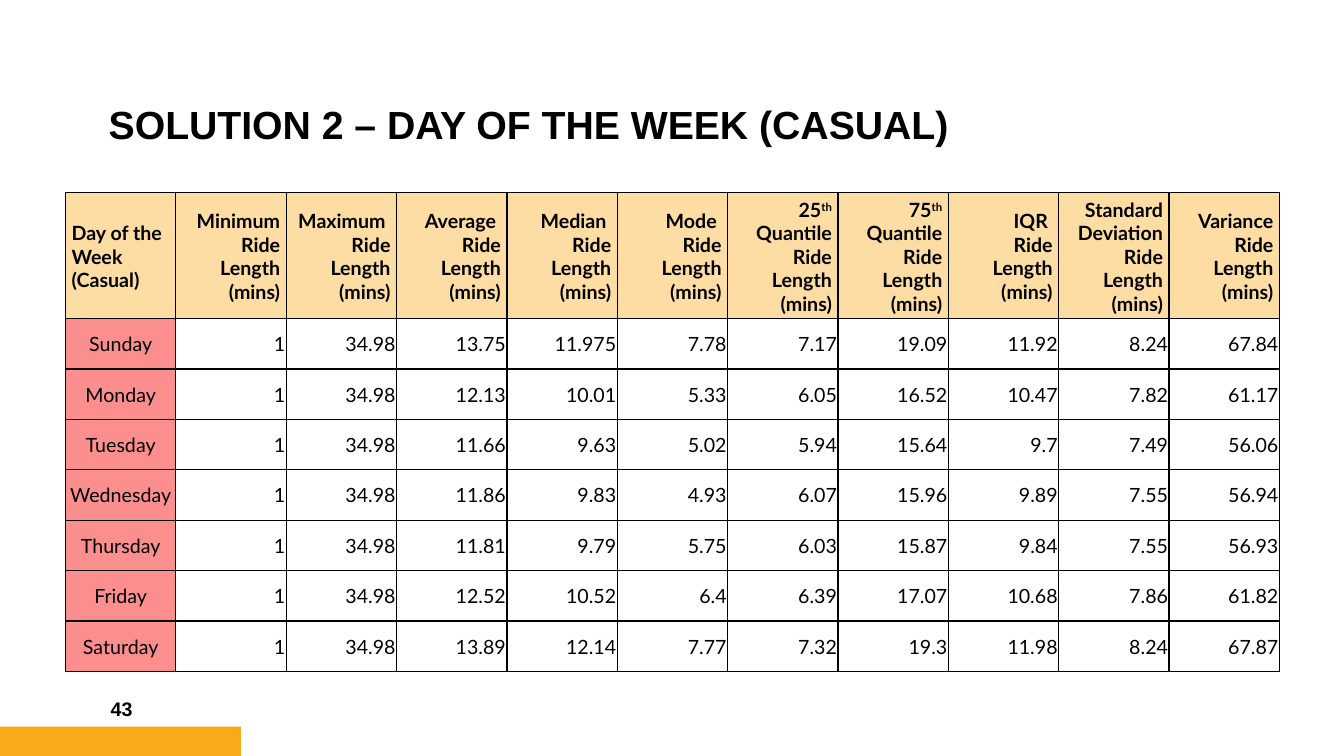
from lxml.etree import SubElement
from pptx import Presentation
from pptx.dml.color import RGBColor
from pptx.enum.shapes import MSO_SHAPE as Shape
from pptx.enum.text import MSO_ANCHOR as Anchor, PP_ALIGN as Align
from pptx.oxml.ns import qn
from pptx.util import Inches, Pt

HEADINGS = [
    "Day of the Week (Casual)",
    "Minimum Ride Length\n(mins)",
    "Maximum \nRide Length\n(mins)",
    "Average \nRide Length\n(mins)",
    "Median \nRide Length\n(mins)",
    "Mode \nRide Length\n(mins)",
    "25^th^ Quantile Ride Length\n(mins)",
    "75^th^ Quantile Ride Length\n(mins)",
    "IQR \nRide Length\n(mins)",
    "Standard Deviation Ride Length\n(mins)",
    "Variance Ride Length\n(mins)",
]
RIDE_LENGTHS = [
    ("Sunday", "1", "34.98", "13.75", "11.975", "7.78", "7.17", "19.09", "11.92", "8.24", "67.84"),
    ("Monday", "1", "34.98", "12.13", "10.01", "5.33", "6.05", "16.52", "10.47", "7.82", "61.17"),
    ("Tuesday", "1", "34.98", "11.66", "9.63", "5.02", "5.94", "15.64", "9.7", "7.49", "56.06"),
    ("Wednesday", "1", "34.98", "11.86", "9.83", "4.93", "6.07", "15.96", "9.89", "7.55", "56.94"),
    ("Thursday", "1", "34.98", "11.81", "9.79", "5.75", "6.03", "15.87", "9.84", "7.55", "56.93"),
    ("Friday", "1", "34.98", "12.52", "10.52", "6.4", "6.39", "17.07", "10.68", "7.86", "61.82"),
    ("Saturday", "1", "34.98", "13.89", "12.14", "7.77", "7.32", "19.3", "11.98", "8.24", "67.87"),
]


def color(hex_value):
    """Turn a hex string into a colour."""
    return RGBColor.from_string(hex_value)


class SlideBuilder:
    """Hold the style and the current slide."""

    ink, accent = "000000", "F9AA19"
    heading_fill, day_fill, value_fill = "FDDDA3", "FC8E8E", "FFFFFF"
    heading_insets, body_insets = (0.06, 0.05, 0.06, 0.03), (0.01, 0.01, 0.01, 0)

    def __init__(self, slide):
        """Keep the slide that is being built."""
        self.slide = slide

    def set_text(self, frame, text, font, size, bold, align=Align.LEFT):
        """Fill a frame with paragraphs, raising the parts between carets."""
        for index, line in enumerate(text.split("\n")):
            paragraph = frame.add_paragraph() if index else frame.paragraphs[0]
            paragraph.alignment = align
            paragraph.font.name, paragraph.font.size = font, Pt(size)
            paragraph.font.bold = bold
            paragraph.font.color.rgb = color(self.ink)
            for position, part in enumerate(line.split("^")):
                run = paragraph.add_run()
                run.text = part
                if position % 2:
                    run._r.get_or_add_rPr().set("baseline", "30000")

    def bar(self, left, top, width, height):
        """Draw a plain accent bar."""
        bar = self.slide.shapes.add_shape(
            Shape.RECTANGLE, Inches(left), Inches(top), Inches(width), Inches(height))
        bar.shadow.inherit = False
        bar.fill.solid()
        bar.fill.fore_color.rgb = color(self.accent)
        bar.line.fill.background()

    def label(self, left, top, width, height, text, size, anchor, spacing=1.0):
        """Add a bold text box."""
        frame = self.slide.shapes.add_textbox(
            Inches(left), Inches(top), Inches(width), Inches(height)).text_frame
        frame.word_wrap = True
        frame.vertical_anchor = anchor
        self.set_text(frame, text, "Arial", size, True)
        frame.paragraphs[0].line_spacing = spacing

    def cell(self, cell, text, fill, insets, bold, align):
        """Fill and border one table cell and set its text."""
        properties = cell._tc.get_or_add_tcPr()
        for side in ("lnL", "lnR", "lnT", "lnB"):
            border = SubElement(properties, qn(f"a:{side}"), w=str(Pt(1)))
            SubElement(SubElement(border, qn("a:solidFill")), qn("a:srgbClr"), val=self.ink)
        cell.fill.solid()
        cell.fill.fore_color.rgb = color(fill)
        cell.vertical_anchor = Anchor.MIDDLE
        cell.margin_left, cell.margin_top, cell.margin_right, cell.margin_bottom = map(Inches, insets)
        self.set_text(cell.text_frame, text, "Lato", 14, bold, align)

    def table(self, left, top, width, heading_height, row_height, headings, rows):
        """Add a table with a heading row and a day column."""
        height = heading_height + row_height * len(rows)
        table = self.slide.shapes.add_table(
            len(rows) + 1, len(headings),
            Inches(left), Inches(top), Inches(width), Inches(height)).table
        for index, row in enumerate(table.rows):
            row.height = Inches(row_height if index else heading_height)
        for column, heading in enumerate(headings):
            self.cell(table.cell(0, column), heading, self.heading_fill, self.heading_insets,
                      True, Align.RIGHT if column else Align.LEFT)
        for index, values in enumerate(rows, 1):
            for column, value in enumerate(values):
                fill = self.value_fill if column else self.day_fill
                align = Align.RIGHT if column else Align.CENTER
                self.cell(table.cell(index, column), value, fill, self.body_insets, False, align)


def main():
    """Build and save the slide."""
    presentation = Presentation()
    presentation.slide_width, presentation.slide_height = Inches(13.33), Inches(7.5)
    builder = SlideBuilder(presentation.slides.add_slide(presentation.slide_layouts[6]))
    builder.bar(0, 7.21, 2.39, 0.3)
    builder.label(0.98, 0.15, 9.62, 1.37, "SOLUTION 2 – DAY OF THE WEEK (CASUAL)",
                  28, Anchor.BOTTOM, 0.9)
    builder.label(1, 6.83, 1.3, 0.4, "43", 14, Anchor.MIDDLE)
    builder.table(0.65, 1.91, 12.04, 1.25, 0.5, HEADINGS, RIDE_LENGTHS)
    presentation.save("out.pptx")


if __name__ == "__main__":
    main()
